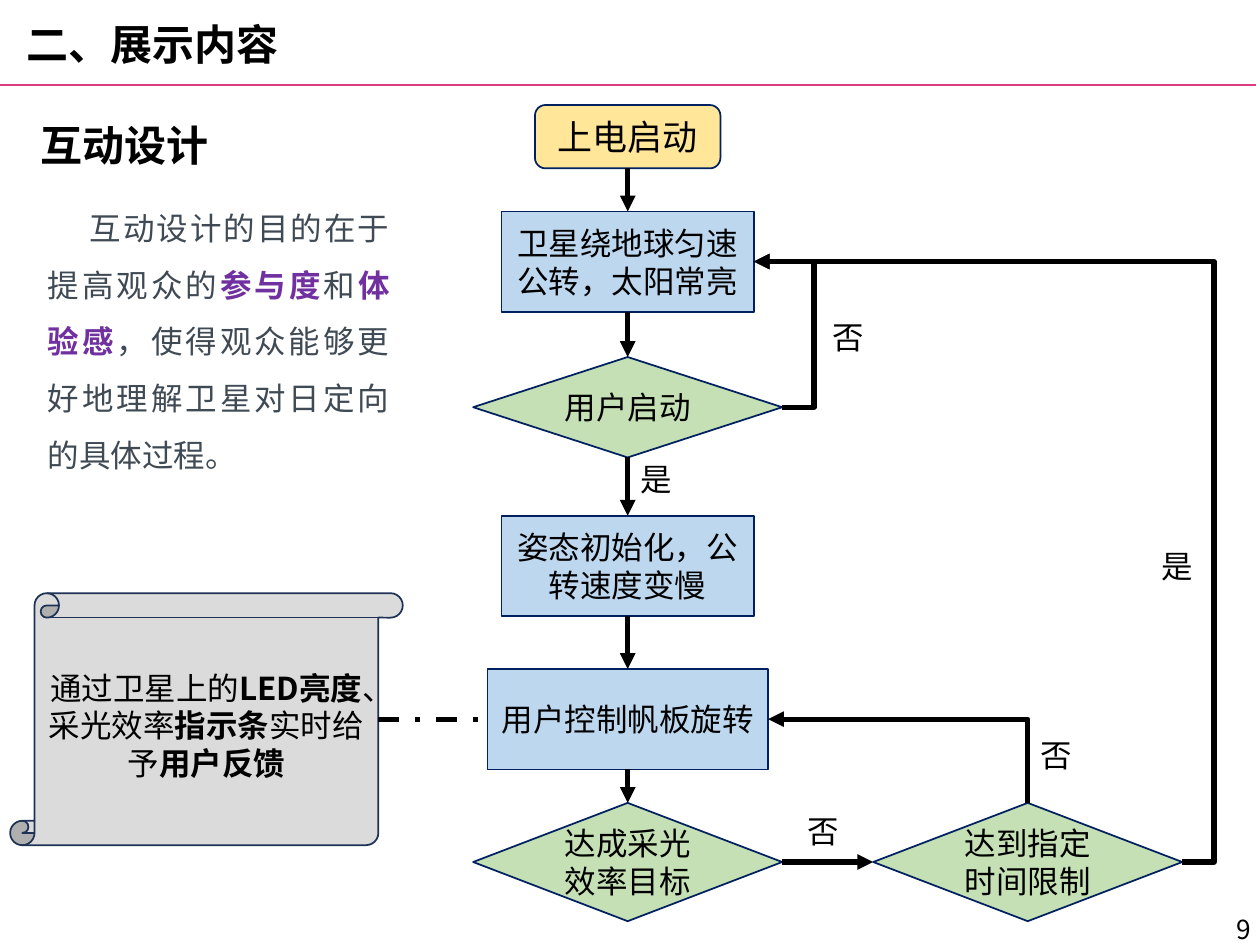
"""Build the interaction design slide with its flowchart."""
from lxml.etree import SubElement
from pptx import Presentation
from pptx.dml.color import RGBColor
from pptx.enum.dml import MSO_LINE
from pptx.enum.shapes import MSO_CONNECTOR, MSO_SHAPE
from pptx.enum.text import MSO_ANCHOR, MSO_AUTO_SIZE, PP_ALIGN
from pptx.oxml.ns import qn
from pptx.util import Pt

FONT = "Noto Sans CJK SC"
COLORS = {
    "black": "000000", "slate": "3F4A54", "purple": "7030A0", "pink": "DA3C7F",
    "navy": "002060", "ink": "1E3256", "yellow": "FFE699", "blue": "BDD7EE",
    "green": "C5E0B4", "gray": "DBDBDB",
}


def write_text(shape, spans, size=18, align=PP_ALIGN.LEFT, color="black", accent="black"):
    frame = shape.text_frame
    frame.word_wrap = True
    para = frame.paragraphs[0]
    para.alignment = align
    para.font.size = Pt(size)
    para.font.name = FONT
    SubElement(para.font._element, qn("a:ea")).set("typeface", FONT)
    para.font.color.rgb = RGBColor.from_string(COLORS[color])
    for text, bold in spans:
        span = para.add_run()
        span.text = text
        if bold:
            span.font.bold = True
            span.font.color.rgb = RGBColor.from_string(COLORS[accent])
    return para


def style_line(connector, color="black", width=3, arrow=True):
    connector.line.color.rgb = RGBColor.from_string(COLORS[color])
    connector.line.width = Pt(width)
    if arrow:
        SubElement(connector.line._get_or_add_ln(), qn("a:tailEnd")).set("type", "triangle")
    SubElement(connector._element.spPr, qn("a:effectLst"))


deck = Presentation()
deck.slide_width, deck.slide_height = Pt(720), Pt(540)
page = deck.slides.add_slide(deck.slide_layouts[6])
shapes = page.shapes

for text, left, top, width in [("二、展示内容", 8, 7.2, 271), ("互动设计", 16, 64.8, 363)]:
    box = shapes.add_textbox(Pt(left), Pt(top), Pt(width), Pt(36))
    box.text_frame.auto_size = MSO_AUTO_SIZE.SHAPE_TO_FIT_TEXT
    write_text(box, [(text, True)], 24)

rule = shapes.add_connector(MSO_CONNECTOR.STRAIGHT, Pt(0), Pt(48.5), Pt(718), Pt(48.5))
style_line(rule, "pink", 1, arrow=False)

number = shapes.add_textbox(Pt(594), Pt(520), Pt(126), Pt(21.6))
frame = number.text_frame
frame.vertical_anchor = MSO_ANCHOR.MIDDLE
frame.margin_left = frame.margin_right = Pt(5)
frame.margin_top = frame.margin_bottom = Pt(3)
write_text(number, [("9", False)], 15, PP_ALIGN.RIGHT)

MAIN, SIDE = 358.7, 587.3
ROUND, BOX, DIAMOND = MSO_SHAPE.ROUNDED_RECTANGLE, MSO_SHAPE.RECTANGLE, MSO_SHAPE.DIAMOND
steps = [
    ("上电启动", ROUND, "yellow", MAIN, 60, 106, 36.2, 20),
    ("卫星绕地球匀速公转，太阳常亮", BOX, "blue", MAIN, 120.8, 144.2, 57.4, 18),
    ("用户启动", DIAMOND, "green", MAIN, 204, 176.6, 57.4, 18),
    ("姿态初始化，公转速度变慢", BOX, "blue", MAIN, 294.7, 144.2, 57.4, 18),
    ("用户控制帆板旋转", BOX, "blue", MAIN, 382.3, 160.4, 57.4, 18),
    ("达成采光效率目标", DIAMOND, "green", MAIN, 458.8, 176.6, 67.6, 18),
    ("达到指定时间限制", DIAMOND, "green", SIDE, 458.8, 176.6, 67.6, 18),
]
nodes = []
for text, kind, fill, center, top, width, height, size in steps:
    node = shapes.add_shape(kind, Pt(center - width / 2), Pt(top), Pt(width), Pt(height))
    node.shadow.inherit = False
    node.fill.solid()
    node.fill.fore_color.rgb = RGBColor.from_string(COLORS[fill])
    node.line.color.rgb = RGBColor.from_string(COLORS["navy"])
    node.line.width = Pt(1)
    node.text_frame.vertical_anchor = MSO_ANCHOR.MIDDLE
    write_text(node, [(text, False)], size, PP_ALIGN.CENTER)
    nodes.append(node)
start, orbit, launch, setup, control, target, limit = nodes

flow = [(upper, 2, lower, 0) for upper, lower in zip(nodes[:5], nodes[1:6])]
for source, source_side, goal, goal_side in flow + [(target, 3, limit, 1)]:
    arrow = shapes.add_connector(MSO_CONNECTOR.STRAIGHT, Pt(0), Pt(0), Pt(0), Pt(0))
    arrow.begin_connect(source, source_side)
    arrow.end_connect(goal, goal_side)
    style_line(arrow)

for source, lane in [(limit, Pt(693.6)), (launch, Pt(465.2))]:
    begin_x, end_x = source.left + source.width, orbit.left + orbit.width
    loop = shapes.add_connector(
        MSO_CONNECTOR.ELBOW, begin_x, source.top + source.height // 2,
        end_x, orbit.top + orbit.height // 2)
    bend = round(100000 * (begin_x - lane) / (begin_x - end_x))
    guide = SubElement(loop._element.spPr.prstGeom.get_or_add_avLst(), qn("a:gd"))
    guide.set("name", "adj1")
    guide.set("fmla", f"val {bend}")
    style_line(loop)

control_right, control_middle = control.left + control.width, control.top + control.height // 2
across, rise = Pt(SIDE) - control_right, limit.top - control_middle
middle_x, middle_y = control_right + across // 2, control_middle + rise // 2
retry = shapes.add_connector(
    MSO_CONNECTOR.ELBOW, middle_x - rise // 2, middle_y + across // 2,
    middle_x + rise // 2, middle_y - across // 2)
retry._element.spPr.prstGeom.set("prst", "bentConnector2")
retry._element.spPr.find(qn("a:xfrm")).set("rot", "16200000")
style_line(retry)

scroll = shapes.add_shape(MSO_SHAPE.VERTICAL_SCROLL, Pt(5.8), Pt(339), Pt(224.4), Pt(144))
scroll.adjustments[0] = 0.097
scroll.shadow.inherit = False
scroll.fill.solid()
scroll.fill.fore_color.rgb = RGBColor.from_string(COLORS["gray"])
scroll.line.color.rgb = RGBColor.from_string(COLORS["ink"])
scroll.line.width = Pt(1)
scroll.text_frame.vertical_anchor = MSO_ANCHOR.MIDDLE
write_text(scroll, [
    ("通过卫星上的", False), ("LED亮度", True), ("、采光效率", False),
    ("指示条", True), ("实时给予", False), ("用户反馈", True),
], align=PP_ALIGN.CENTER)

link = shapes.add_connector(
    MSO_CONNECTOR.STRAIGHT, Pt(216), control_middle, control.left, control_middle)
link.end_connect(control, 1)
link.line.dash_style = MSO_LINE.DASH_DOT
style_line(link, arrow=False)

labels = [("是", 358.7, 259.4), ("否", 454.6, 460.2), ("否", 468.6, 178.2),
          ("是", 656.8, 309.2), ("否", 587.3, 417)]
for text, left, top in labels:
    label = shapes.add_textbox(Pt(left), Pt(top), Pt(63), Pt(29))
    label.text_frame.auto_size = MSO_AUTO_SIZE.SHAPE_TO_FIT_TEXT
    write_text(label, [(text, False)])

purpose = shapes.add_textbox(Pt(20.2), Pt(105.1), Pt(209.5), Pt(167))
purpose.text_frame.auto_size = MSO_AUTO_SIZE.SHAPE_TO_FIT_TEXT
para = write_text(purpose, [
    ("互动设计的目的在于提高观众的", False), ("参与度", True), ("和", False),
    ("体验感", True), ("，使得观众能够更好地理解卫星对日定向的具体过程。", False),
], align=PP_ALIGN.JUSTIFY, color="slate", accent="purple")
para.line_spacing = 1.5
para._p.get_or_add_pPr().set("indent", str(Pt(24)))

deck.save("out.pptx")
